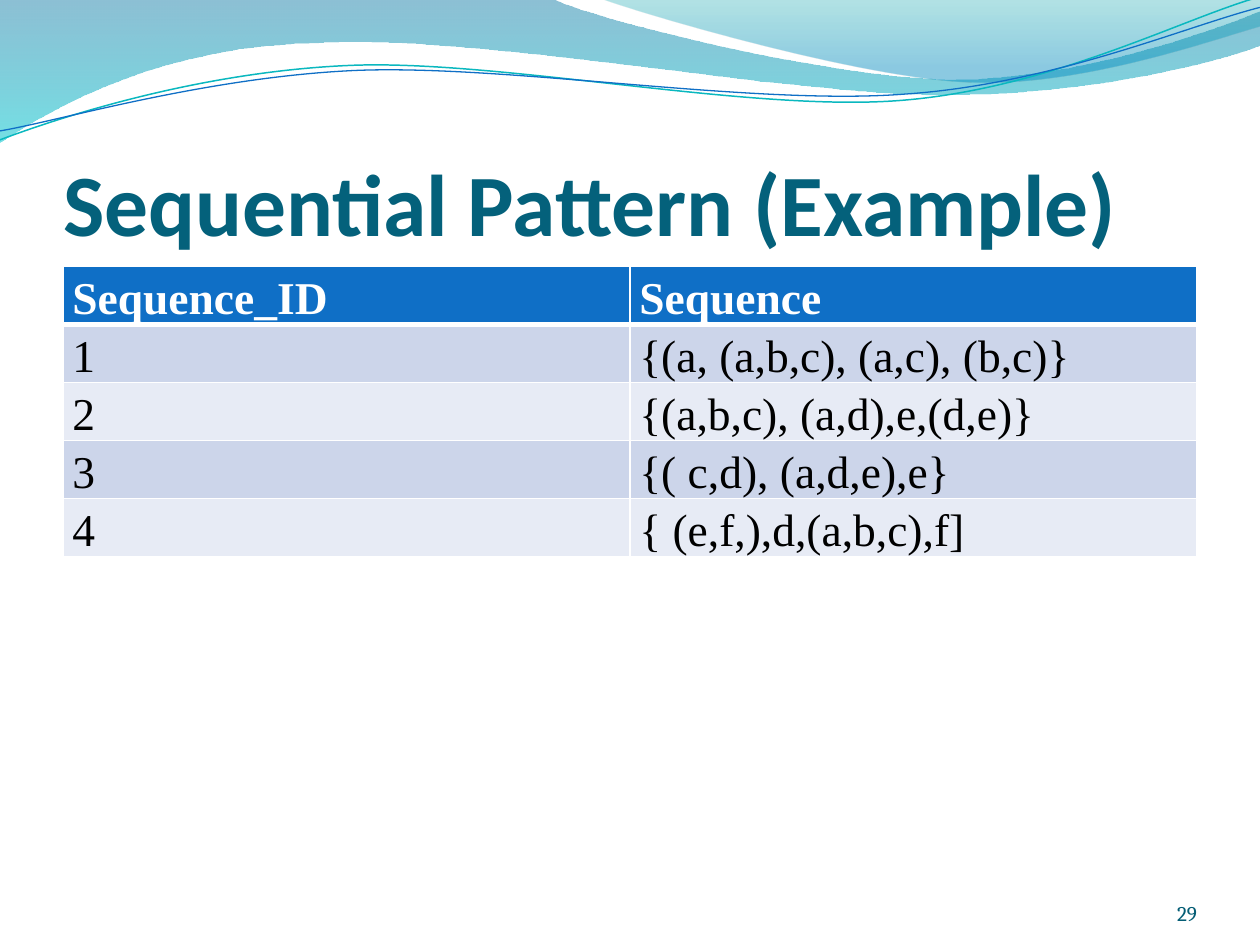
from dataclasses import dataclass

import lxml.etree
import pptx
import pptx.dml.color
import pptx.enum.text
import pptx.oxml.ns
import pptx.util

Cm = pptx.util.Cm
Pt = pptx.util.Pt
RGB = pptx.dml.color.RGBColor.from_string
qn = pptx.oxml.ns.qn
PP_ALIGN = pptx.enum.text.PP_ALIGN
ANCHOR = pptx.enum.text.MSO_ANCHOR


@dataclass(frozen=True)
class Theme:
    title_font: str = "Calibri"
    table_font: str = "Times New Roman"
    number_font: str = "Cambria"
    title_size: int = 50
    table_size: int = 26
    number_size: int = 12
    title: str = "04617B"
    number: str = "045D75"
    header: str = "0F6FC6"
    header_text: str = "FFFFFF"
    body_text: str = "000000"
    bands: tuple = ("CCD5EA", "E7EBF5")
    border: str = "FFFFFF"
    back_wave: tuple = ((0, "0074A1", 45), (1, "00C6CF", 55))
    front_wave: tuple = ((0, "00A1A9", 30), (0.8, "008BBF", 45))
    teal_line: str = "0AB8BF"
    blue_line: str = "0F6FC6"


THEME = Theme()

BACK_WAVE = [
    (0, 0), (11.18, 0),
    (12.09, 0.43, 16.87, 1.6, 19.25, 1.6),
    (21.67, 1.6, 24.33, 0.66, 25.4, 0.23),
    (25.4, 0.91),
    (24.97, 1.12, 22.1, 1.93, 18.95, 1.91),
    (15.8, 1.91, 9.7, 0.71, 6.53, 0.86),
    (3.28, 0.91, 1.17, 2.11, 0, 2.87),
]
FRONT_WAVE = [
    (12.17, 0),
    (12.93, 0.28, 17.32, 1.57, 19.53, 1.65),
    (21.74, 1.75, 24.41, 0.81, 25.4, 0.53),
    (25.4, 0),
]
TEAL_LINE = [
    (0, 2.82),
    (1.22, 2.36, 4.01, 1.45, 7.04, 1.32),
    (10.03, 1.19, 15.06, 2.26, 18.11, 2.03),
    (21.16, 1.8, 23.83, 0.38, 25.35, -0.05),
]
BLUE_LINE = [
    (0, 2.64),
    (1.19, 2.44, 4.17, 1.55, 7.19, 1.42),
    (10.24, 1.3, 15.16, 2.13, 18.21, 1.9),
    (21.23, 1.7, 23.9, 0.53, 25.4, 0.15),
]
ROWS = [
    ("Sequence_ID", "Sequence"),
    ("1", "{(a, (a,b,c), (a,c), (b,c)}"),
    ("2", "{(a,b,c), (a,d),e,(d,e)}"),
    ("3", "{( c,d), (a,d,e),e}"),
    ("4", "{ (e,f,),d,(a,b,c),f]"),
]


def add_curve(s, left, top, segments, close):
    start, *rest = [(Cm(seg[-2]), Cm(seg[-1])) for seg in segments]
    builder = s.shapes.build_freeform(*start)
    builder.add_line_segments(rest, close=close)
    sp = builder.convert_to_shape(Cm(left), Cm(top))
    sp.shadow.inherit = False
    lines = list(sp._element.iter(qn("a:lnTo")))
    for line, seg in zip(lines, segments[1:]):
        if len(seg) == 2:
            continue
        curve = lxml.etree.Element(qn("a:cubicBezTo"))
        for x, y in (seg[:2], seg[2:4], seg[4:]):
            lxml.etree.SubElement(curve, qn("a:pt"), x=str(Cm(left + x) - sp.left),
                                  y=str(Cm(top + y) - sp.top))
        line.getparent().replace(line, curve)
    return sp


def add_waves(s, left, top):
    for segments, stops in ((BACK_WAVE, THEME.back_wave), (FRONT_WAVE, THEME.front_wave)):
        sp = add_curve(s, left, top, segments, True)
        sp.line.fill.background()
        sp.fill.gradient()
        sp.fill.gradient_angle = 270
        for stop, (position, color, _) in zip(sp.fill.gradient_stops, stops):
            stop.position = position
            stop.color.rgb = RGB(color)
        for clr, (_, _, opacity) in zip(sp._element.spPr.iter(qn("a:srgbClr")), stops):
            lxml.etree.SubElement(clr, qn("a:alpha"), val=str(opacity * 1000))
    for segments, color, width in ((TEAL_LINE, THEME.teal_line, 0.85),
                                   (BLUE_LINE, THEME.blue_line, 0.75)):
        sp = add_curve(s, left, top, segments, False)
        sp.fill.background()
        sp.line.color.rgb = RGB(color)
        sp.line.width = Pt(width)


def format_text(tf, font, size, color, bold, align):
    p = tf.paragraphs[0]
    p.alignment = align
    for r in p.runs:
        r.font.name = font
        r.font.size = Pt(size)
        r.font.bold = bold
        r.font.color.rgb = RGB(color)


def place_text(sp, box, text, top_inset=0):
    sp.left, sp.top, sp.width, sp.height = (Cm(v) for v in box)
    tf = sp.text_frame
    tf.text = text
    tf.word_wrap = True
    tf.auto_size = pptx.enum.text.MSO_AUTO_SIZE.NONE
    tf.vertical_anchor = ANCHOR.BOTTOM
    tf.margin_left = tf.margin_right = tf.margin_bottom = 0
    tf.margin_top = Cm(top_inset)
    return tf


def add_title(s, box, text):
    sp = s.shapes.title
    s.shapes._spTree.append(sp._element)
    tf = place_text(sp, box, text, 0.13)
    format_text(tf, THEME.title_font, THEME.title_size, THEME.title, True, PP_ALIGN.LEFT)


def add_page_number(s, box, text):
    sp = s.shapes.add_textbox(*(Cm(v) for v in box))
    tf = place_text(sp, box, text)
    format_text(tf, THEME.number_font, THEME.number_size, THEME.number, False, PP_ALIGN.RIGHT)


def set_borders(cell, top, bottom):
    tcPr = cell._tc.get_or_add_tcPr()
    widths = (("L", 1), ("R", 1), ("T", top), ("B", bottom))
    for i, (side, width) in enumerate(widths):
        ln = lxml.etree.Element(qn("a:ln" + side), w=str(Pt(width)))
        fill = lxml.etree.SubElement(ln, qn("a:solidFill"))
        lxml.etree.SubElement(fill, qn("a:srgbClr"), val=THEME.border)
        tcPr.insert(i, ln)


def add_sequence_table(s, left, top, width, row_height):
    n = len(ROWS)
    table = s.shapes.add_table(n, len(ROWS[0]), Cm(left), Cm(top),
                               Cm(width), Cm(row_height * n)).table
    for i, row in enumerate(ROWS):
        header = i == 0
        for j, text in enumerate(row):
            cell = table.cell(i, j)
            cell.text = text
            cell.margin_left = cell.margin_right = Cm(0.19)
            cell.margin_top = cell.margin_bottom = 0
            cell.vertical_anchor = ANCHOR.TOP
            cell.fill.solid()
            cell.fill.fore_color.rgb = RGB(THEME.header if header else THEME.bands[(i - 1) % 2])
            set_borders(cell, 3 if i == 1 else 1, 3 if header else 1)
            format_text(cell.text_frame, THEME.table_font, THEME.table_size,
                        THEME.header_text if header else THEME.body_text,
                        header, PP_ALIGN.JUSTIFY)
            cell.text_frame.paragraphs[0].line_spacing = 1.15


def main():
    prs = pptx.Presentation()
    prs.slide_width, prs.slide_height = Cm(25.4), Cm(19.05)
    s = prs.slides.add_slide(prs.slide_layouts.get_by_name("Title Only"))
    add_waves(s, 0, 0)
    add_title(s, (1.27, 1.95, 22.86, 3.17), "Sequential Pattern (Example)")
    add_sequence_table(s, 1.27, 5.37, 22.86, 1.04)
    add_page_number(s, (22.02, 17.65, 2.11, 1.02), "29")
    prs.save("out.pptx")


if __name__ == "__main__":
    main()
